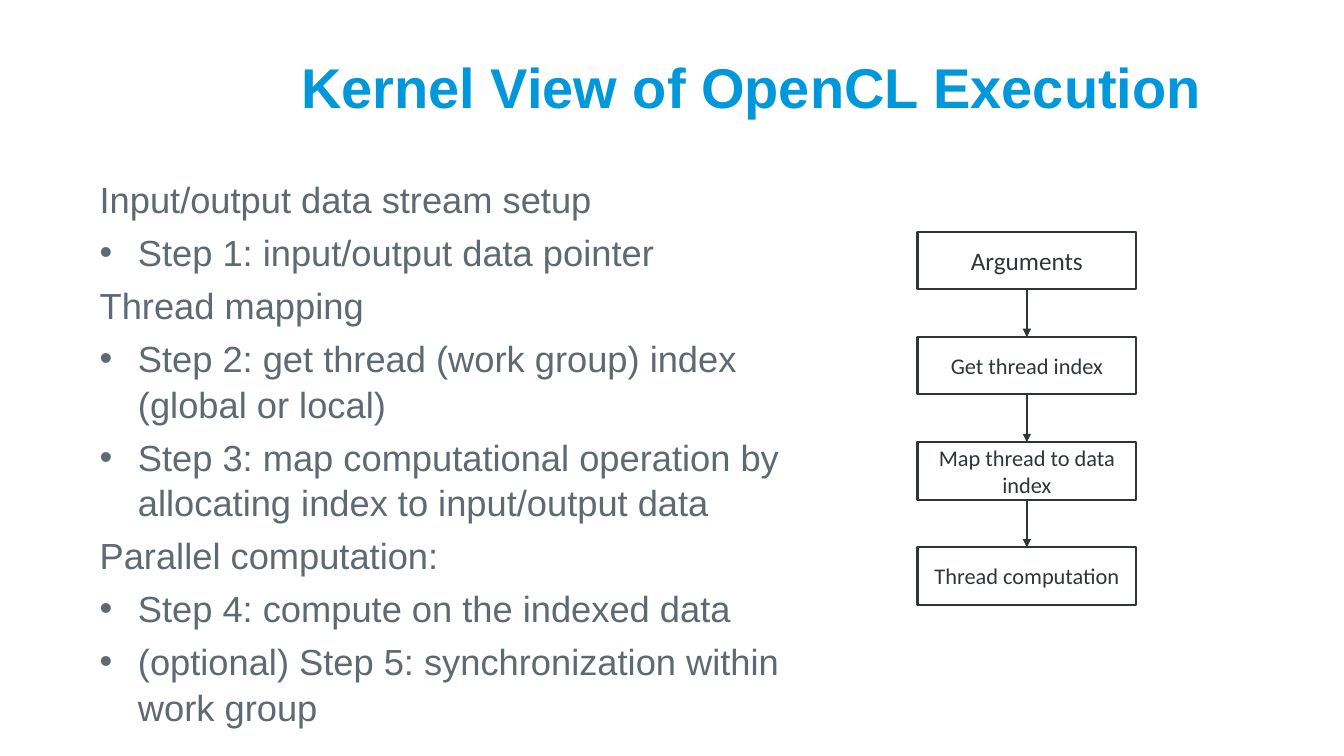
from itertools import pairwise

from lxml.etree import SubElement
from pptx import Presentation
from pptx.dml.color import RGBColor
from pptx.enum.shapes import MSO_CONNECTOR as LINE, MSO_SHAPE as SHAPE
from pptx.enum.text import MSO_ANCHOR as ANCHOR, PP_ALIGN as ALIGN
from pptx.oxml.ns import qn
from pptx.util import Inches, Pt

BLUE = RGBColor(0x00, 0x98, 0xDB)
GREY = RGBColor(0x5E, 0x6A, 0x71)
DARK = RGBColor(0x2F, 0x35, 0x38)

WIDTH, HEIGHT = Inches(13.33), Inches(7.5)
COLUMN, ROW = WIDTH / 133.3, HEIGHT / 75

TITLE_AREA = (28.9, 1.5, 97.8, 10.9)
OUTLINE_AREA = (8.9, 16.9, 75.7, 50.3)
FLOW_AREA = (91, 23, 21.7, 37)
STEP_ROWS = 5.7
INDENT_COLUMNS = 3.8

TITLE = "Kernel View of OpenCL Execution"
OUTLINE = [
    ("Input/output data stream setup", ["Step 1: input/output data pointer"]),
    ("Thread mapping", [
        "Step 2: get thread (work group) index (global or local)",
        "Step 3: map computational operation by allocating index to input/output data",
    ]),
    ("Parallel computation:", [
        "Step 4: compute on the indexed data",
        "(optional) Step 5: synchronization within work group",
    ]),
]
FLOW = [("Arguments", 18), ("Get thread index", 16),
        ("Map thread to data index", 16), ("Thread computation", 16)]


def place(area):
    """Turn columns and rows of the grid into slide lengths."""
    left, top, width, height = area
    return (round(left * COLUMN), round(top * ROW),
            round(width * COLUMN), round(height * ROW))


def style(font, color, **values):
    """Set the colour and the given attributes of a font."""
    font.color.rgb = color
    for name, value in values.items():
        setattr(font, name, value)


def add_title(slide, area):
    """Write the heading at the bottom of its area."""
    frame = slide.shapes.add_textbox(*place(area)).text_frame
    frame.word_wrap = True
    frame.vertical_anchor = ANCHOR.BOTTOM
    heading = frame.paragraphs[0]
    heading.text = TITLE
    style(heading.font, BLUE, name="Arial", size=Pt(40), bold=True)


def add_outline(slide, area):
    """Write the topics, each with its bulleted steps."""
    frame = slide.shapes.add_textbox(*place(area)).text_frame
    frame.word_wrap = True
    entries = [entry for topic, steps in OUTLINE
               for entry in [(topic, False), *((step, True) for step in steps)]]
    for index, (words, bulleted) in enumerate(entries):
        line = frame.add_paragraph() if index else frame.paragraphs[0]
        line.text = words
        line.line_spacing = 1.05
        if index:
            line.space_before = Pt(5.2)
        if bulleted:
            indent = round(INDENT_COLUMNS * COLUMN)
            properties = line._p.get_or_add_pPr()
            properties.set("marL", str(indent))
            properties.set("indent", str(-indent))
            SubElement(properties, qn("a:buFont")).set("typeface", "Arial")
            SubElement(properties, qn("a:buChar")).set("char", "•")
        style(line.font, GREY, name="Arial", size=Pt(25.9))


def add_step(slide, area, label, size):
    """Draw one outlined box of the flow with its label."""
    step = slide.shapes.add_shape(SHAPE.RECTANGLE, *place(area))
    step.shadow.inherit = False
    step.fill.background()
    step.line.color.rgb = DARK
    step.line.width = Pt(1.5)
    frame = step.text_frame
    frame.word_wrap = True
    frame.vertical_anchor = ANCHOR.MIDDLE
    caption = frame.paragraphs[0]
    caption.text = label
    caption.alignment = ALIGN.CENTER
    style(caption.font, DARK, name="Calibri", size=Pt(size))
    return step


def add_arrow(slide, upper, lower):
    """Join two boxes with an arrow pointing down."""
    arrow = slide.shapes.add_connector(LINE.STRAIGHT, 0, 0, 0, 0)
    arrow.begin_connect(upper, 2)
    arrow.end_connect(lower, 0)
    arrow.line.color.rgb = DARK
    arrow.line.width = Pt(1.5)
    SubElement(arrow.line._get_or_add_ln(), qn("a:tailEnd")).set("type", "triangle")
    SubElement(arrow._element.spPr, qn("a:effectLst"))


def add_flow(slide, area):
    """Spread the steps evenly down the area and join them."""
    left, top, width, height = area
    pitch = (height - STEP_ROWS) / (len(FLOW) - 1)
    steps = [add_step(slide, (left, top + index * pitch, width, STEP_ROWS), label, size)
             for index, (label, size) in enumerate(FLOW)]
    for upper, lower in pairwise(steps):
        add_arrow(slide, upper, lower)


def main():
    """Build the slide and save it."""
    deck = Presentation()
    deck.slide_width, deck.slide_height = WIDTH, HEIGHT
    slide = deck.slides.add_slide(deck.slide_layouts[6])
    add_title(slide, TITLE_AREA)
    add_outline(slide, OUTLINE_AREA)
    add_flow(slide, FLOW_AREA)
    deck.save("out.pptx")


if __name__ == "__main__":
    main()
